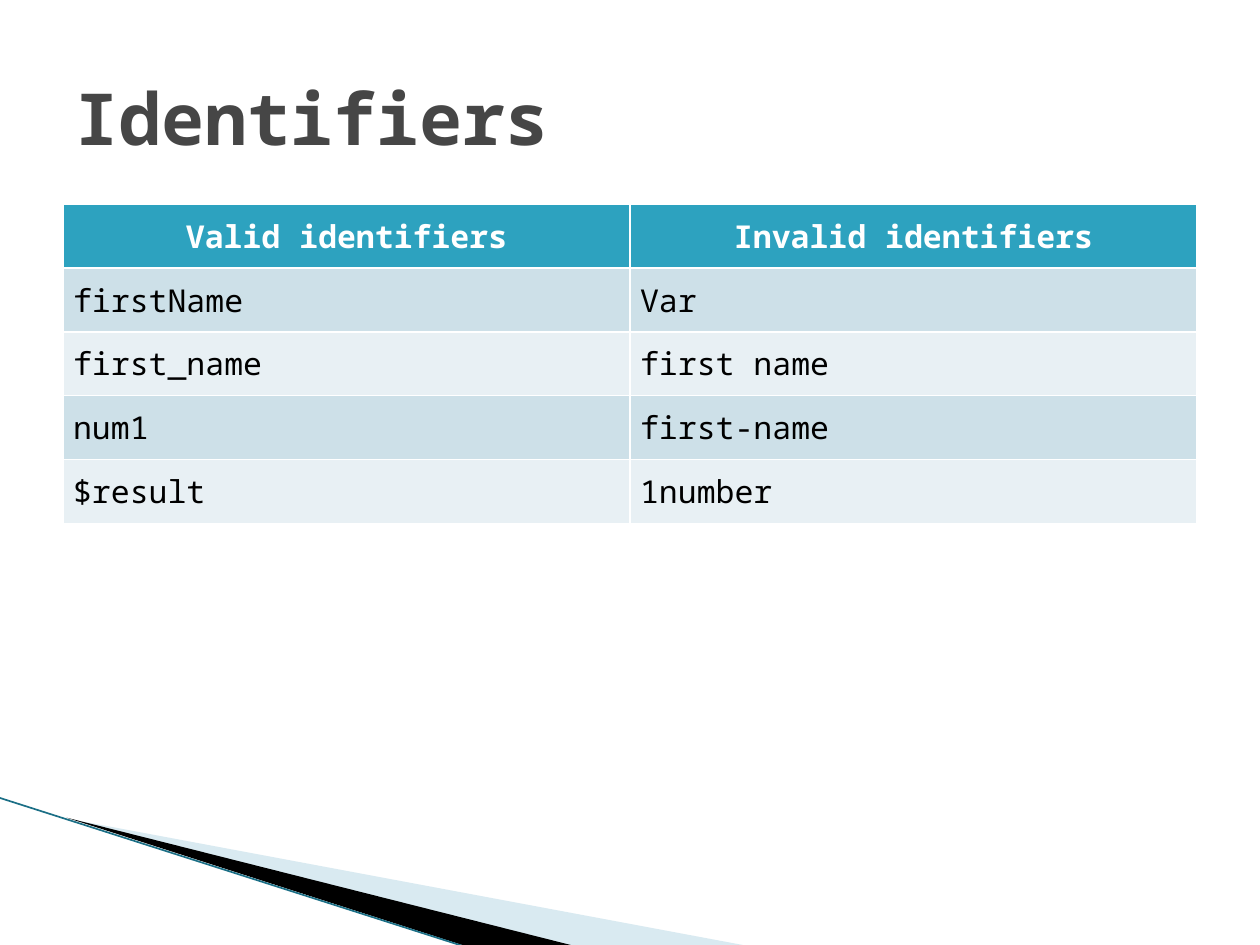
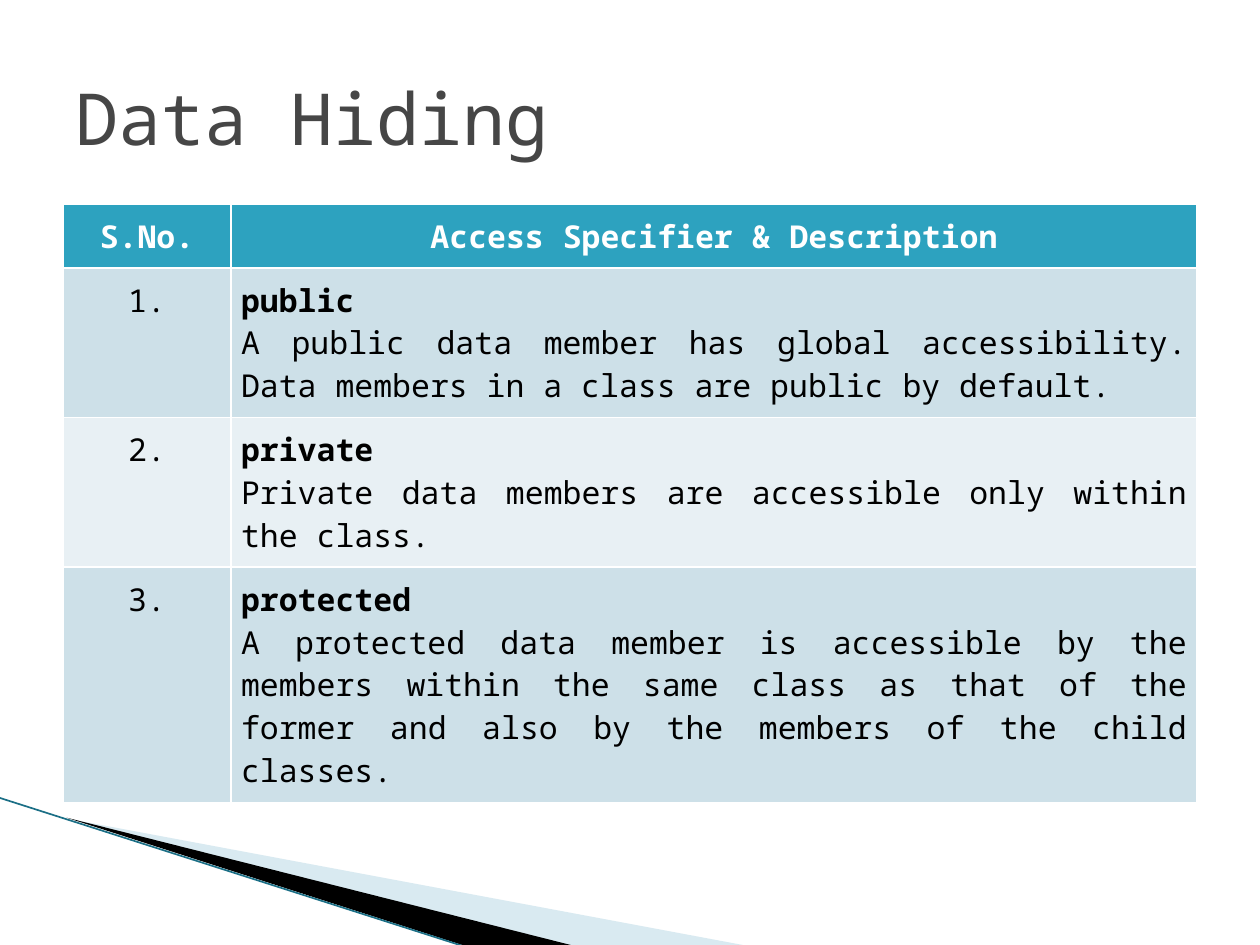
from lxml import etree
from pptx import Presentation
from pptx import util as u
from pptx.dml.color import RGBColor
from pptx.enum import shapes, text
from pptx.oxml import ns

COLORS = {
    "title": "464646",
    "header": "2DA2BF",
    "odd row": "CDE0E8",
    "even row": "E8F0F4",
    "white": "FFFFFF",
    "black": "000000",
    "pale wedge": "A0CBDC",
    "edge": "1B6F86",
}
FONT = "Noto Sans Mono"
CENTER, LEFT, JUSTIFY = text.PP_ALIGN.CENTER, text.PP_ALIGN.LEFT, text.PP_ALIGN.JUSTIFY

# Corner wedges: frame and outline in inches, colour, opacity in percent
WEDGES = [
    ((0.78, 5.47, 4.16, 1.58),
     [(0.55, 6.5), (5.95, 7.51), (4.56, 7.51)], "pale wedge", 40),
    ((-0.06, 6.33, 4.16, 0.92),
     [(0.53, 6.49), (4.57, 7.51), (3.7, 7.51)], "black", 100),
]

# Each cell is a list of (text, bold) paragraphs
PAGES = [
    {
        "title": "Identifiers",
        "bold title": True,
        "widths": [4.5, 4.5],
        "aligns": [LEFT, LEFT],
        "header": ["Valid identifiers", "Invalid identifiers"],
        "rows": [
            [[("firstName", False)], [("Var", False)]],
            [[("first_name", False)], [("first name", False)]],
            [[("num1", False)], [("first-name", False)]],
            [[("$result", False)], [("1number", False)]],
        ],
    },
    {
        "title": "Data Hiding",
        "bold title": False,
        "widths": [4 / 3, 23 / 3],
        "aligns": [CENTER, JUSTIFY],
        "header": ["S.No.", "Access Specifier & Description"],
        "rows": [
            [[("1.", False)],
             [("public", True),
              ("A public data member has global accessibility. "
               "Data members in a class are public by default.", False)]],
            [[("2.", False)],
             [("private", True),
              ("Private data members are accessible only within the class.", False)]],
            [[("3.", False)],
             [("protected", True),
              ("A protected data member is accessible by the members within the "
               "same class as that of the former and also by the members of the "
               "child classes.", False)]],
        ],
    },
]


def add_span(para, words, size, color, bold):
    span = para.add_run()
    span.text = words
    span.font.name = FONT
    span.font.size = u.Pt(size)
    span.font.bold = bold
    span.font.color.rgb = RGBColor.from_string(COLORS[color])


def set_frame(freeform, frame):
    """Change the frame of a freeform while its outline stays in place."""
    left, top, width, height = [u.Inches(length) for length in frame]
    outline = next(freeform._element.iter(ns.qn("a:path")))
    outline.set("w", str(width))
    outline.set("h", str(height))
    for point in outline.iter(ns.qn("a:pt")):
        point.set("x", str(int(point.get("x")) + freeform.left - left))
        point.set("y", str(int(point.get("y")) + freeform.top - top))
    freeform.left, freeform.top = left, top
    freeform.width, freeform.height = width, height


deck = Presentation()
deck.slide_width, deck.slide_height = u.Inches(10), u.Inches(7.5)

for content in PAGES:
    page = deck.slides.add_slide(deck.slide_layouts[5])

    # Corner decoration
    for frame, outline, color, opacity in WEDGES:
        points = [(u.Inches(x), u.Inches(y)) for x, y in outline]
        builder = page.shapes.build_freeform(*points[0])
        builder.add_line_segments(points[1:], close=True)
        wedge = builder.convert_to_shape()
        set_frame(wedge, frame)
        wedge.shadow.inherit = False
        wedge.line.fill.background()
        wedge.fill.solid()
        wedge.fill.fore_color.rgb = RGBColor.from_string(COLORS[color])
        if opacity < 100:
            tint = wedge._element.spPr.find(".//" + ns.qn("a:srgbClr"))
            etree.SubElement(tint, ns.qn("a:alpha"), val=str(opacity * 1000))
    edge = page.shapes.add_connector(
        shapes.MSO_CONNECTOR.STRAIGHT,
        u.Inches(-0.01), u.Inches(6.33), u.Inches(3.71), u.Inches(7.52))
    edge.line.color.rgb = RGBColor.from_string(COLORS["edge"])
    edge.line.width = u.Pt(0.95)
    etree.SubElement(edge._element.spPr, ns.qn("a:effectLst"))

    # Title
    title = page.shapes.title
    title.left, title.top = u.Inches(0.5), u.Inches(0.3)
    title.width, title.height = u.Inches(9), u.Inches(1.25)
    title.text_frame.auto_size = text.MSO_AUTO_SIZE.NONE
    title.text_frame.vertical_anchor = text.MSO_ANCHOR.MIDDLE
    para = title.text_frame.paragraphs[0]
    para.alignment = LEFT
    add_span(para, content["title"], 41, "title", content["bold title"])

    # Table; its default style draws the white cell borders
    rows = [[[(label, True)] for label in content["header"]]] + content["rows"]
    widths = content["widths"]
    table = page.shapes.add_table(
        len(rows), len(widths), u.Inches(0.5), u.Inches(1.62),
        u.Inches(9), u.Inches(0.5 * len(rows))).table
    for column, width in zip(table.columns, widths):
        column.width = u.Inches(width)
    for i, row in enumerate(rows):
        is_header = i == 0
        fill = "header" if is_header else "odd row" if i % 2 else "even row"
        for j, paragraphs in enumerate(row):
            cell = table.cell(i, j)
            cell.margin_left = cell.margin_right = u.Inches(0.08)
            cell.margin_top = cell.margin_bottom = u.Pt(6)
            cell.fill.solid()
            cell.fill.fore_color.rgb = RGBColor.from_string(COLORS[fill])
            for k, (words, bold) in enumerate(paragraphs):
                text_frame = cell.text_frame
                para = text_frame.add_paragraph() if k else text_frame.paragraphs[0]
                para.alignment = CENTER if is_header else content["aligns"][j]
                add_span(para, words, 18, "white" if is_header else "black", bold)

deck.save("out.pptx")
